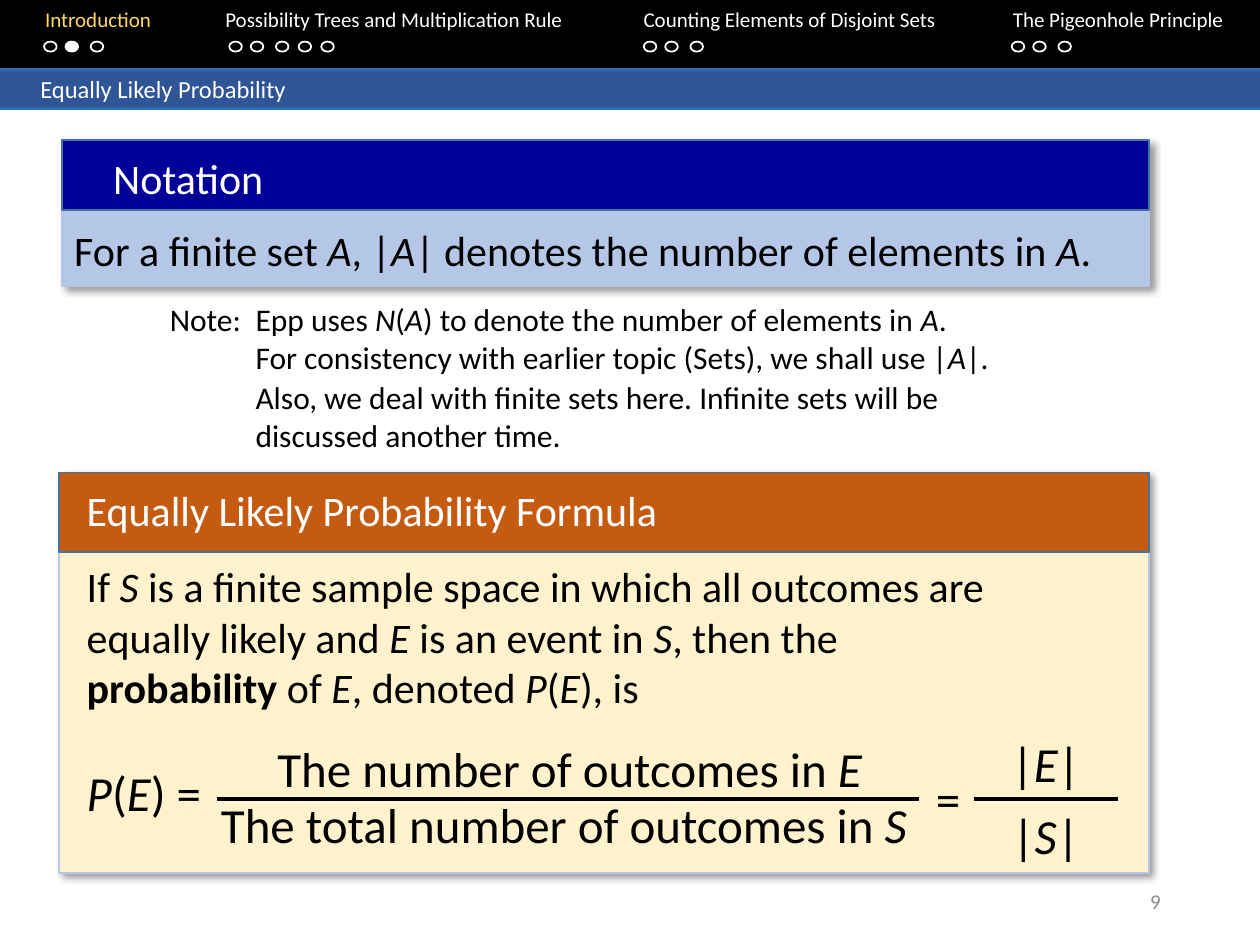
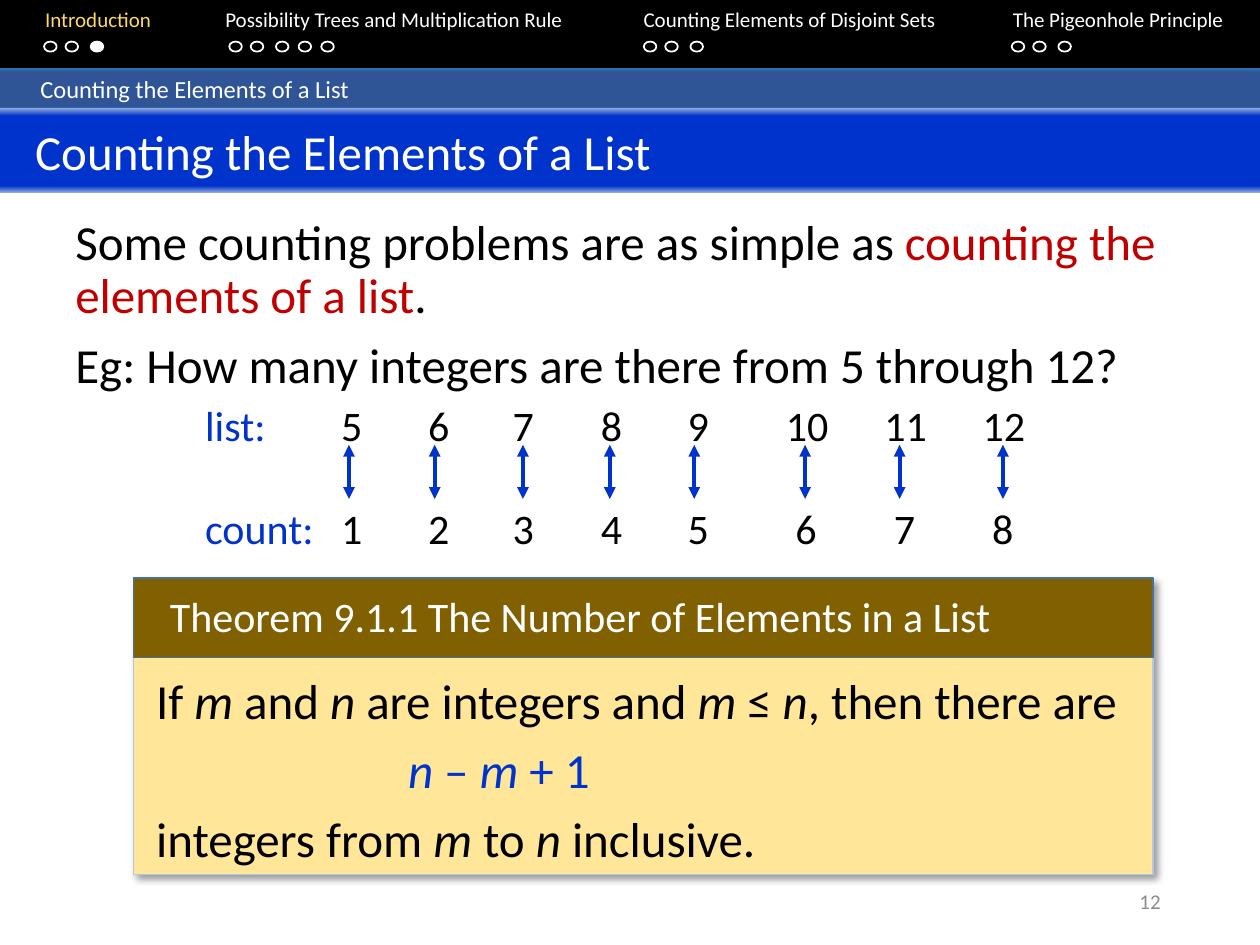
from dataclasses import dataclass
from typing import NamedTuple

from lxml import etree
from pptx import Presentation
from pptx import util as u
from pptx.dml.color import RGBColor
from pptx.enum import shapes, text
from pptx.oxml.ns import qn
from pptx.shapes.autoshape import Shape
from pptx.slide import Slide

PX = 9144
FONT = "Calibri"

BLACK = RGBColor(0x00, 0x00, 0x00)
WHITE = RGBColor(0xFF, 0xFF, 0xFF)
GREY = RGBColor(0x8C, 0x8C, 0x8C)
GOLD = RGBColor(0xFF, 0xD9, 0x66)
RED = RGBColor(0xC0, 0x00, 0x00)
ROYAL = RGBColor(0x00, 0x33, 0xCC)
NAVY = RGBColor(0x00, 0x00, 0x99)
PALE_BLUE = RGBColor(0xB4, 0xC7, 0xE7)
MID_BLUE = RGBColor(0x8F, 0xAA, 0xDC)
BAND_EDGE = RGBColor(0x2E, 0x75, 0xB6)
BAND = RGBColor(0x2F, 0x55, 0x97)
HEADING_LINE = RGBColor(0x43, 0x73, 0x9E)
ORANGE = RGBColor(0xC5, 0x5A, 0x11)
CREAM = RGBColor(0xFF, 0xF2, 0xCC)
BROWN = RGBColor(0x80, 0x60, 0x00)
SAND = RGBColor(0xFF, 0xE6, 0x99)

LEFT = text.PP_ALIGN.LEFT
CENTER = text.PP_ALIGN.CENTER
RIGHT = text.PP_ALIGN.RIGHT
TOP = text.MSO_ANCHOR.TOP
MIDDLE = text.MSO_ANCHOR.MIDDLE


class Box(NamedTuple):
    left: int
    top: int
    width: int
    height: int


class Span(NamedTuple):
    words: str
    color: RGBColor = BLACK
    italic: bool = False
    bold: bool = False


class Stop(NamedTuple):
    percent: int
    color: RGBColor


class Section(NamedTuple):
    name: str
    tab: int
    dots_left: int
    dots: int


@dataclass
class Para:
    spans: list[Span]
    size: int
    align: text.PP_ALIGN = LEFT
    tabs: tuple[int, ...] = ()
    before: int = 0
    after: int = 0
    spacing: float = 1.0


@dataclass
class Card:
    box: Box
    heading_height: int
    heading_color: RGBColor
    body_color: RGBColor
    title: str
    title_indent: int
    title_width: int


SECTIONS = (
    Section("Introduction", 26, 35, 3),
    Section("Possibility Trees and Multiplication Rule", 169, 182, 5),
    Section("Counting Elements of Disjoint Sets", 501, 511, 3),
    Section("The Pigeonhole Principle", 794, 803, 3),
)
DOT_OFFSETS = (0, 17, 37, 55, 73)
TOPIC_STOPS = (Stop(0, BAND_EDGE), Stop(11, BAND), Stop(91, BAND), Stop(100, BAND_EDGE))
TITLE_STOPS = (Stop(0, MID_BLUE), Stop(9, ROYAL), Stop(92, ROYAL), Stop(100, MID_BLUE))
LIST_TABS = (108, 177, 244, 314, 383, 461, 539, 617)
ARROW_LEFTS = (277, 345, 415, 484, 551, 639, 714, 796)


def emu(box: Box) -> list[int]:
    return [length * PX for length in box]


def formula(source: str, color: RGBColor = BLACK) -> list[Span]:
    pieces = enumerate(source.split("_"))
    return [Span(words, color, italic=index % 2 == 1) for index, words in pieces if words]


def add_child(parent: etree._Element, tag: str, **attributes: object) -> etree._Element:
    values = {name: str(value) for name, value in attributes.items()}
    return etree.SubElement(parent, qn(tag), values)


def write(shape: Shape, paras: list[Para], anchor: text.MSO_ANCHOR = TOP) -> None:
    frame = shape.text_frame
    frame.word_wrap = True
    frame.vertical_anchor = anchor
    for index, item in enumerate(paras):
        para = frame.add_paragraph() if index else frame.paragraphs[0]
        para.alignment = item.align
        para.line_spacing = item.spacing
        para.space_before = u.Pt(item.before)
        para.space_after = u.Pt(item.after)
        if item.tabs:
            stops = add_child(para._p.get_or_add_pPr(), "a:tabLst")
            for tab in item.tabs:
                add_child(stops, "a:tab", pos=tab * PX, algn="l")
        for span in item.spans:
            run = para.add_run()
            run.text = span.words
            run.font.name = FONT
            run.font.size = u.Pt(item.size)
            run.font.color.rgb = span.color
            run.font.italic = span.italic
            run.font.bold = span.bold


def add_text(page: Slide, box: Box, *paras: Para, anchor: text.MSO_ANCHOR = TOP) -> None:
    write(page.shapes.add_textbox(*emu(box)), list(paras), anchor)


def add_figure(page: Slide, box: Box, fill: RGBColor | None = None,
               line: RGBColor | None = None,
               kind: shapes.MSO_SHAPE = shapes.MSO_SHAPE.RECTANGLE) -> Shape:
    shape = page.shapes.add_shape(kind, *emu(box))
    shape.shadow.inherit = False
    if fill is None:
        shape.fill.background()
    else:
        shape.fill.solid()
        shape.fill.fore_color.rgb = fill
    if line is None:
        shape.line.fill.background()
    else:
        shape.line.color.rgb = line
        shape.line.width = u.Pt(1)
    return shape


def add_band(page: Slide, box: Box, stops: tuple[Stop, ...], words: str,
             size: int, inset: int) -> None:
    band = add_figure(page, box)
    band.fill.gradient()
    band.fill.gradient_angle = 270
    stop_list = band._element.spPr.find(".//" + qn("a:gsLst"))
    for old_stop in list(stop_list):
        stop_list.remove(old_stop)
    for stop in stops:
        entry = add_child(stop_list, "a:gs", pos=stop.percent * 1000)
        add_child(entry, "a:srgbClr", val=stop.color)
    band.text_frame.margin_left = inset * PX
    write(band, [Para([Span(words, WHITE)], size)], MIDDLE)


def add_shadow(shape: Shape) -> None:
    effects = shape._element.spPr.find(qn("a:effectLst"))
    shadow = add_child(effects, "a:outerShdw", blurRad=u.Pt(4), dist=u.Pt(3),
                       dir=45 * 60000, algn="tl", rotWithShape=0)
    color = add_child(shadow, "a:srgbClr", val=BLACK)
    add_child(color, "a:alpha", val=40000)


def add_card(page: Slide, card: Card) -> None:
    left, top, width, _ = card.box
    add_shadow(add_figure(page, card.box, card.body_color, PALE_BLUE))
    add_figure(page, Box(left, top, width, card.heading_height),
               card.heading_color, HEADING_LINE)
    add_text(page, Box(left + card.title_indent, top + 5, card.title_width, 50),
             Para([Span(card.title, WHITE)], 24))


def add_line(page: Slide, start: tuple[int, int], end: tuple[int, int],
             color: RGBColor, arrows: bool = False) -> None:
    ends = [length * PX for length in start + end]
    line = page.shapes.add_connector(shapes.MSO_CONNECTOR.STRAIGHT, *ends)
    line.line.color.rgb = color
    line.line.width = u.Pt(2.25)
    if arrows:
        outline = line.line._get_or_add_ln()
        add_child(outline, "a:headEnd", type="triangle")
        add_child(outline, "a:tailEnd", type="triangle")
    add_child(line._element.spPr, "a:effectLst")


def add_page(deck: Presentation, topic: str, number: int, current_dot: int) -> Slide:
    page = deck.slides.add_slide(deck.slide_layouts[6])
    add_figure(page, Box(0, -2, 1000, 56), BLACK)
    names = [Span("\t" + section.name, WHITE if index else GOLD)
             for index, section in enumerate(SECTIONS)]
    add_text(page, Box(0, 0, 1000, 50),
             Para(names, 12, tabs=tuple(section.tab for section in SECTIONS)))
    add_band(page, Box(0, 54, 1000, 33), TOPIC_STOPS, topic, 14, 32)
    for section in SECTIONS:
        for index, offset in enumerate(DOT_OFFSETS[:section.dots]):
            reached = section is SECTIONS[0] and index == current_dot
            add_figure(page, Box(section.dots_left + offset, 33, 10, 8),
                       WHITE if reached else None, WHITE, shapes.MSO_SHAPE.OVAL)
    add_text(page, Box(706, 695, 225, 40),
             Para([Span(str(number), GREY)], 12, RIGHT), anchor=MIDDLE)
    return page


def build_probability(deck: Presentation) -> None:
    page = add_page(deck, "Equally Likely Probability", 9, 1)
    add_card(page, Card(Box(49, 111, 863, 116), 56, NAVY, PALE_BLUE, "Notation", 31, 463))
    add_text(page, Box(49, 173, 849, 50), Para(formula(
        "For a finite set _A_, |_A_| denotes the number of elements in _A_."), 24))

    add_text(
        page, Box(125, 233, 704, 71),
        Para(formula("Note:\tEpp uses _N_(_A_) to denote the number of elements in _A_."),
             18, tabs=(68,)),
        Para(formula("\tFor consistency with earlier topic (Sets), we shall use |_A_|."),
             18, tabs=(68,)))
    add_text(page, Box(193, 295, 646, 71), Para(formula(
        "Also, we deal with finite sets here. Infinite sets will be "
        "discussed another time."), 18))

    add_card(page, Card(Box(47, 375, 865, 318), 63, ORANGE, CREAM,
                        "Equally Likely Probability Formula", 12, 710))
    definition = [
        *formula("If _S_ is a finite sample space in which all outcomes are equally "
                 "likely and _E_ is an event in _S_, then the "),
        Span("probability", bold=True),
        *formula(" of _E_, denoted _P_(_E_), is"),
    ]
    add_text(page, Box(59, 440, 757, 259), Para(definition, 24),
             Para(formula("_P_(_E_) ="), 28, before=29))
    for box, words in (
        (Box(193, 581, 518, 57), "The number of outcomes in _E_"),
        (Box(154, 626, 587, 57), "The total number of outcomes in _S_"),
        (Box(733, 605, 49, 57), "="),
        (Box(760, 577, 140, 57), "|_E_|"),
        (Box(760, 634, 140, 57), "|_S_|"),
    ):
        add_text(page, box, Para(formula(words), 28, LEFT if words == "=" else CENTER))
    for start, end in ((172, 729), (773, 887)):
        add_line(page, (start, 634), (end, 634), BLACK)


def build_counting(deck: Presentation) -> None:
    topic = "Counting the Elements of a List"
    page = add_page(deck, topic, 12, 2)
    add_band(page, Box(0, 86, 1000, 67), TITLE_STOPS, topic, 28, 28)
    problem = [Span("Some counting problems are as simple as "),
               Span("counting the elements of a list", RED), Span(".")]
    add_text(page, Box(50, 168, 900, 155),
             Para(problem, 28, before=10, spacing=0.9),
             Para(formula("Eg: How many integers are there from 5 through 12?"),
                  28, before=6))

    for top, label, values in ((312, "list:", "5\t6\t7\t8\t9\t10\t11\t12"),
                               (394, "count:", "1\t2\t3\t4\t5\t 6\t 7\t 8")):
        add_text(page, Box(153, top, 716, 50),
                 Para([Span(label + "\t", ROYAL), Span(values)], 24, tabs=LIST_TABS))
    for left in ARROW_LEFTS:
        add_line(page, (left, 353), (left, 396), ROYAL, arrows=True)

    add_card(page, Card(Box(106, 459, 809, 235), 63, BROWN, SAND,
                        "Theorem 9.1.1 The Number of Elements in a List", 19, 774))
    add_text(
        page, Box(114, 527, 792, 168),
        Para(formula("If _m_ and _n_ are integers and _m _≤ _n_, then there are"),
             28, after=6),
        Para(formula("\t_n_ – _m_ + 1", ROYAL), 28, tabs=(200,), after=6),
        Para(formula("integers from _m_ to _n_ inclusive."), 28, after=6))


def main() -> None:
    deck = Presentation()
    deck.slide_width, deck.slide_height = 1000 * PX, 750 * PX
    build_probability(deck)
    build_counting(deck)
    deck.save("out.pptx")


if __name__ == "__main__":
    main()
